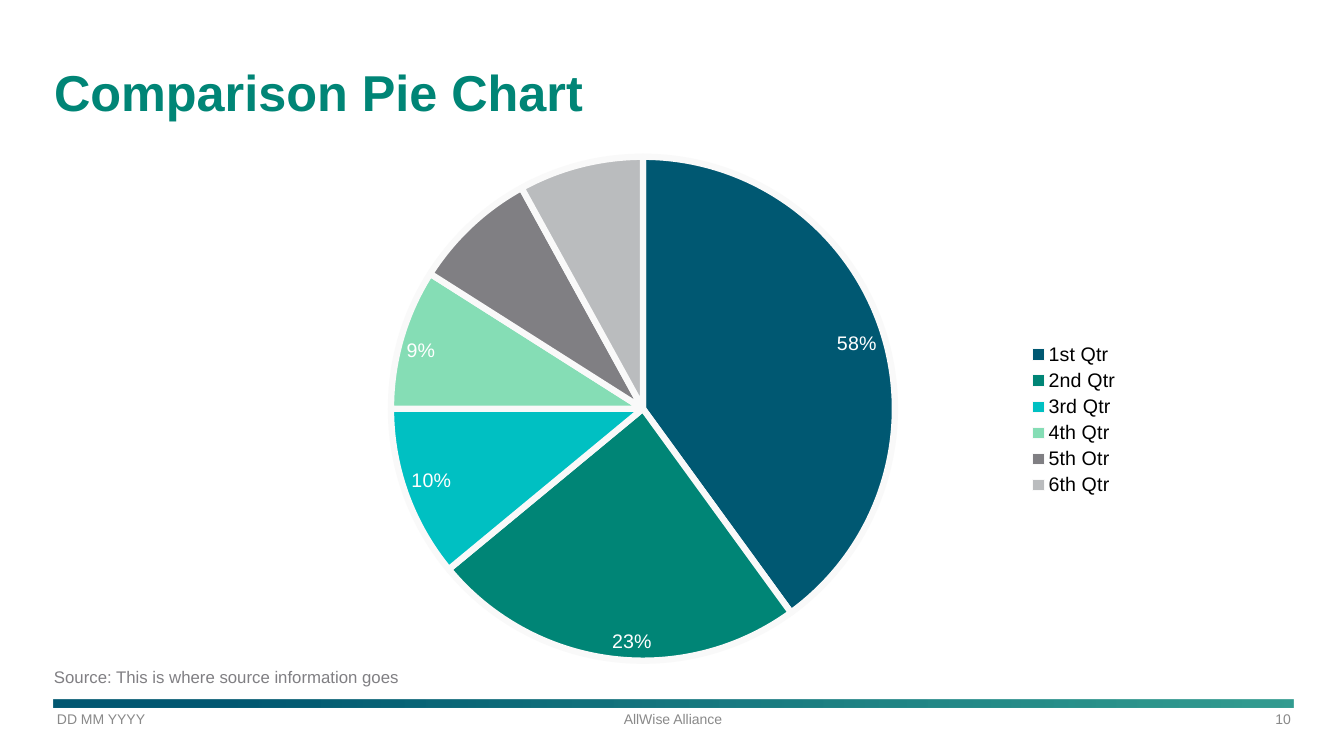
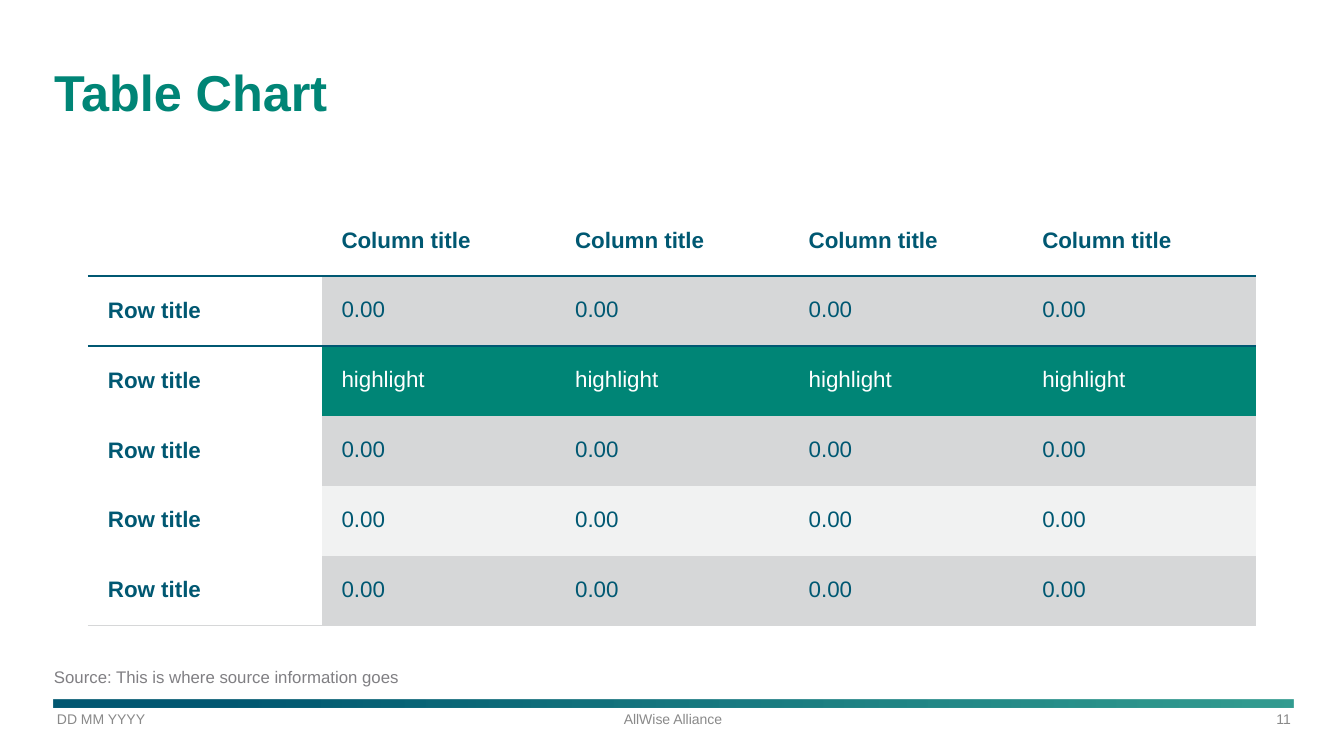
from lxml import etree
from pptx import Presentation
from pptx.chart.data import CategoryChartData
from pptx.dml.color import RGBColor
from pptx.enum.chart import XL_CHART_TYPE, XL_LABEL_POSITION, XL_LEGEND_POSITION
from pptx.enum.shapes import MSO_SHAPE
from pptx.enum.text import MSO_ANCHOR, PP_ALIGN
from pptx.oxml import parse_xml
from pptx.oxml.ns import nsdecls, qn
from pptx.util import Pt

# Enum members
PIE = XL_CHART_TYPE.PIE
INSIDE_END = XL_LABEL_POSITION.INSIDE_END
LEGEND_RIGHT = XL_LEGEND_POSITION.RIGHT
RECT = MSO_SHAPE.RECTANGLE
TOP, MIDDLE, BOTTOM = MSO_ANCHOR.TOP, MSO_ANCHOR.MIDDLE, MSO_ANCHOR.BOTTOM
LEFT, CENTER, RIGHT = PP_ALIGN.LEFT, PP_ALIGN.CENTER, PP_ALIGN.RIGHT

# Colours
NAVY = RGBColor(0x00, 0x58, 0x72)
GREEN = RGBColor(0x00, 0x85, 0x76)
CYAN = RGBColor(0x00, 0xC0, 0xC2)
MINT = RGBColor(0x85, 0xDD, 0xB5)
GREY = RGBColor(0x80, 0x7F, 0x83)
SILVER = RGBColor(0xBA, 0xBC, 0xBE)
FOOTER_GREY = RGBColor(0x89, 0x89, 0x89)
BAND_DARK = RGBColor(0xD6, 0xD7, 0xD8)
BAND_LIGHT = RGBColor(0xF1, 0xF2, 0xF2)
OFF_WHITE = RGBColor(0xF9, 0xF9, 0xF9)
WHITE = RGBColor(0xFF, 0xFF, 0xFF)
BLACK = RGBColor(0x00, 0x00, 0x00)

FONT = "Arial"
NO_TABLE_STYLE = "{2D5ABB26-0587-4C30-8999-92F81FD0307C}"


def px(n):
    return round(n * 914400 / 100.8)


def set_font(font, size, color, bold=False):
    font.name, font.size, font.bold = FONT, Pt(size), bold
    font.color.rgb = color


class Deck:
    """Holds the shared style and the current slide."""

    def __init__(self):
        self.prs = Presentation()
        self.prs.slide_width, self.prs.slide_height = px(1344), px(756)
        self.slide = None

    def new_slide(self, title, number):
        self.slide = self.prs.slides.add_slide(self.prs.slide_layouts[5])
        self.band(54, 700, 1240, 8)
        footers = ((44, "DD MM YYYY", LEFT), (507, "AllWise Alliance", CENTER),
                   (972, str(number), RIGHT))
        for x, text, align in footers:
            self.text(x, 704, 332, 30, text, 10, FOOTER_GREY, align, 13)
        self.title(title)
        self.text(54, 660, 489, 34, "Source: This is where source information goes",
                  12, GREY)

    def band(self, x, y, w, h):
        sp = self.slide.shapes.add_shape(RECT, px(x), px(y), px(w), px(h))
        sp.shadow.inherit = False
        sp.line.fill.background()
        sp.fill.gradient()
        sp.fill.gradient_angle = 0
        start, end = sp.fill.gradient_stops
        start.color.rgb, start.position = NAVY, 0.14
        end.color.rgb, end.position = GREEN, 1
        end_color = sp.fill._xPr.findall(".//" + qn("a:srgbClr"))[-1]
        etree.SubElement(end_color, qn("a:alpha"), val="80000")

    def title(self, text):
        sp = self.slide.shapes.title
        sp.left, sp.top, sp.width, sp.height = px(54), px(19), px(1239), px(111)
        self.fill_text(sp.text_frame, text, 36, GREEN, LEFT, (0, 0, 13, 7), BOTTOM, True)
        sp.text_frame.paragraphs[0].line_spacing = 0.95

    def text(self, x, y, w, h, text, size, color, align=LEFT, inset=0):
        sp = self.slide.shapes.add_textbox(px(x), px(y), px(w), px(h))
        self.fill_text(sp.text_frame, text, size, color, align, (inset, 7, 13, 7), TOP)

    def fill_text(self, tf, text, size, color, align, insets, anchor, bold=False):
        tf.text = text
        tf.word_wrap = True
        tf.vertical_anchor = anchor
        tf.margin_left, tf.margin_top, tf.margin_right, tf.margin_bottom = map(px, insets)
        p = tf.paragraphs[0]
        p.alignment = align
        set_font(p.runs[0].font, size, color, bold)

    def pie(self, x, y, w, h, slices, plot_area):
        """Each slice is (category, value, colour, label or None for percent)."""
        data = CategoryChartData()
        data.categories = [name for name, *_ in slices]
        data.add_series("Series 1", [value for _, value, *_ in slices])
        chart = self.slide.shapes.add_chart(PIE, px(x), px(y), px(w), px(h), data).chart
        chart.has_title = False
        set_font(chart.font, 18, BLACK)
        chart.has_legend = True
        chart.legend.position = LEGEND_RIGHT
        chart.legend.include_in_layout = False
        set_font(chart.legend.font, 14, BLACK)

        plot = chart.plots[0]
        plot.vary_by_categories = True
        plot.has_data_labels = True
        labels = plot.data_labels
        labels.show_percentage, labels.show_value = True, False
        labels.number_format, labels.number_format_is_linked = "0%", False
        labels.position = INSIDE_END
        set_font(labels.font, 16, WHITE)

        for i, (_, _, color, label) in enumerate(slices):
            point = plot.series[0].points[i]
            point.format.fill.solid()
            point.format.fill.fore_color.rgb = color
            point.format.line.color.rgb = OFF_WHITE
            point.format.line.width = Pt(4.5)
            if label:
                tf = point.data_label.text_frame
                tf.text = label
                set_font(tf.paragraphs[0].runs[0].font, 14, WHITE)
                point.data_label.position = INSIDE_END

        # Fixed inner plot area, as fractions of the chart
        area = chart._chartSpace.chart.plotArea
        for old in area.findall(qn("c:layout")):
            area.remove(old)
        layout = etree.Element(qn("c:layout"))
        manual = etree.SubElement(layout, qn("c:manualLayout"))
        settings = [("layoutTarget", "inner"), ("xMode", "edge"), ("yMode", "edge")]
        settings += zip("xywh", map(str, plot_area))
        for tag, val in settings:
            etree.SubElement(manual, qn("c:" + tag), val=val)
        area.insert(0, layout)

    def table(self, x, y, w, h, rows, fills, rules):
        """fills: body colour per row; rules: {row: (colour, points)} below it."""
        n_rows, n_cols = len(rows), len(rows[0])
        table = self.slide.shapes.add_table(
            n_rows, n_cols, px(x), px(y), px(w), px(h)).table
        table._tbl.tblPr.find(qn("a:tableStyleId")).text = NO_TABLE_STYLE
        table.first_row = table.horz_banding = False
        for col in table.columns:
            col.width = px(w) // n_cols
        for r, row in enumerate(rows):
            table.rows[r].height = px(h) // n_rows
            for c, text in enumerate(row):
                heading = r == 0 or c == 0
                cell = table.cell(r, c)
                self.cell(cell, text, None if heading else fills[r], heading)
                if r in rules:
                    self.rule_below(cell, *rules[r])

    def cell(self, cell, text, fill, heading):
        cell.text = text
        cell.vertical_anchor = MIDDLE
        cell.margin_left = cell.margin_right = px(20)
        cell.margin_top = cell.margin_bottom = px(10)
        p = cell.text_frame.paragraphs[0]
        p.line_spacing = 0.95 if heading else 0.9
        set_font(p.font, 16, WHITE if fill == GREEN else NAVY, heading)
        if fill is None:
            cell.fill.background()
        else:
            cell.fill.solid()
            cell.fill.fore_color.rgb = fill

    def rule_below(self, cell, color, width):
        cell._tc.get_or_add_tcPr().insert(0, parse_xml(
            f'<a:lnB {nsdecls("a")} w="{Pt(width)}"><a:solidFill>'
            f'<a:srgbClr val="{color}"/></a:solidFill></a:lnB>'))


def main():
    deck = Deck()

    # Pie chart
    deck.new_slide("Comparison Pie Chart", 10)
    deck.pie(156, 140, 974, 560, [
        ("1st Qtr", 40, NAVY, "58%"),
        ("2nd Qtr", 24, GREEN, "23%"),
        ("3rd Qtr", 11, CYAN, "10%"),
        ("4th Qtr", 9, MINT, "9%"),
        ("5th Otr", 8, GREY, None),
        ("6th Qtr", 8, SILVER, None),
    ], (0.24, 0.03, 0.52, 0.9))

    # Table
    deck.new_slide("Table Chart", 11)
    values = ["0.00", "highlight", "0.00", "0.00", "0.00"]
    rows = [[""] + ["Column title"] * 4]
    rows += [["Row title"] + [value] * 4 for value in values]
    fills = [None, BAND_DARK, GREEN, BAND_DARK, BAND_LIGHT, BAND_DARK]
    rules = {0: (NAVY, 2.25), 1: (NAVY, 2.25), 5: (BAND_DARK, 1)}
    deck.table(88, 206, 1168, 420, rows, fills, rules)

    deck.prs.save("out.pptx")


if __name__ == "__main__":
    main()
